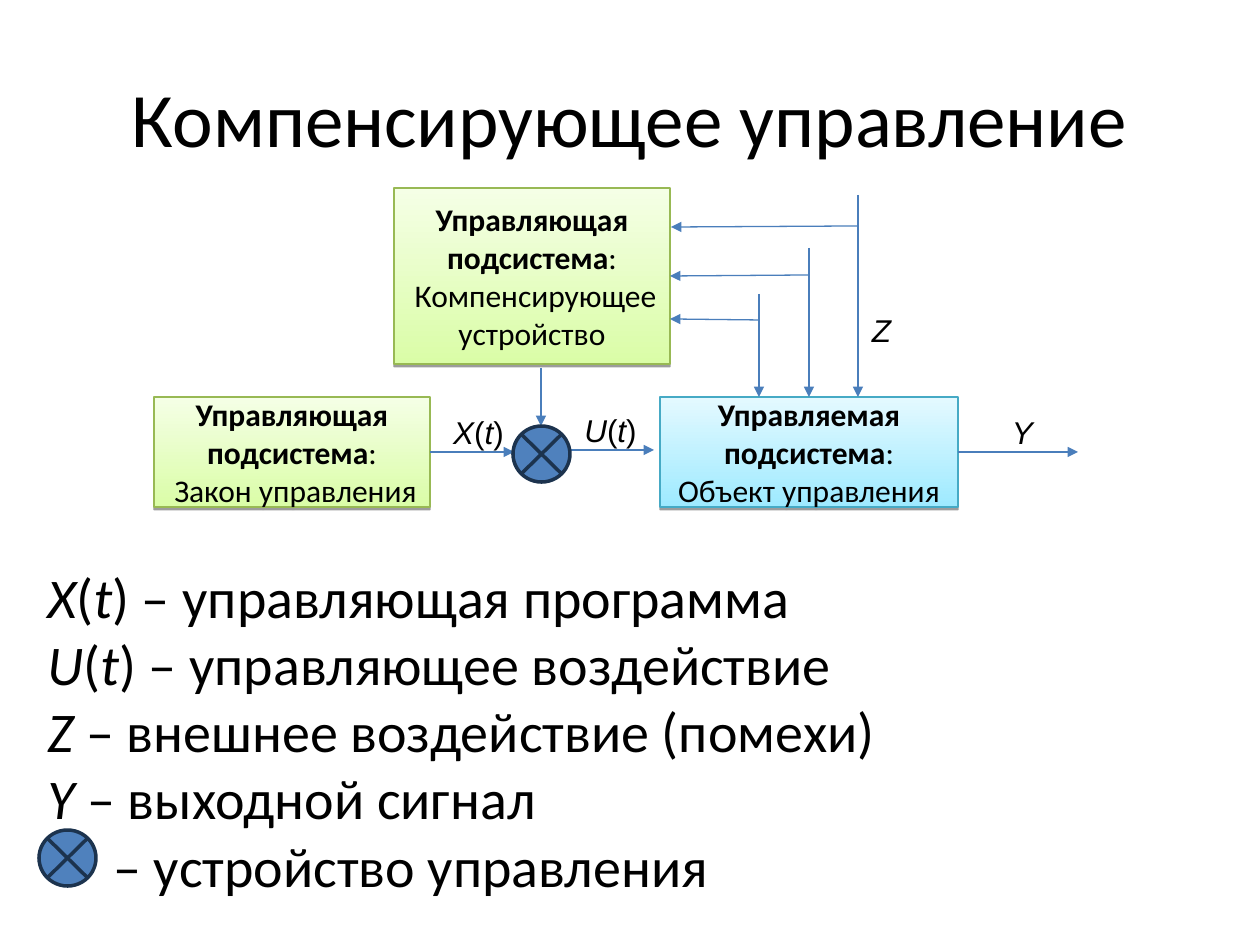
from dataclasses import dataclass

from lxml.etree import SubElement
from pptx import Presentation
from pptx.dml.color import RGBColor
from pptx.enum.shapes import MSO_CONNECTOR, MSO_SHAPE
from pptx.enum.text import MSO_ANCHOR, PP_ALIGN
from pptx.oxml.ns import qn
from pptx.util import Emu, Pt

PX_PER_INCH = 126
COLORS = {
    "text": "000000", "arrow": "4A7EBB",
    "junction": "4F81BD", "junction_line": "1C334E",
    "green_dark": "DAFDA7", "green_light": "F5FFE6", "green_line": "98B954",
    "blue_dark": "9EEAFF", "blue_light": "E4F9FF", "blue_line": "46AAC5",
}
TITLE = {"size": Pt(44), "name": "Calibri"}
LEGEND = {"size": Pt(32), "name": "Calibri"}
BOX = {"size": Pt(18), "name": "Calibri"}
LABEL = {"size": Pt(18), "name": "Arial"}


@dataclass
class Run:
    text: str
    bold: bool = False
    italic: bool = False


@dataclass
class Box:
    key: str
    rect: tuple[int, int, int, int]
    hue: str
    role: str
    detail: str


@dataclass
class Arrow:
    start: tuple[int, int]
    end: tuple[int, int]
    begin_at: tuple[str, int] | None = None
    end_at: tuple[str, int] | None = None


def px(value: float) -> Emu:
    return Emu(round(value * 914400 / PX_PER_INCH))


def rgb(name: str) -> RGBColor:
    return RGBColor.from_string(COLORS[name])


def symbol_runs(symbol: str) -> list[Run]:
    return [Run(ch, italic=ch.isalpha()) for ch in symbol]


def write(tf, paragraphs: list[list[Run]], font: dict, align=PP_ALIGN.CENTER,
          anchor=MSO_ANCHOR.TOP, wrap: bool = True) -> None:
    tf.word_wrap = wrap
    tf.vertical_anchor = anchor
    for i, runs in enumerate(paragraphs):
        p = tf.paragraphs[0] if i == 0 else tf.add_paragraph()
        p.alignment = align
        for run in runs:
            r = p.add_run()
            r.text = run.text
            r.font.color.rgb = rgb("text")
            style = {**font, "bold": run.bold, "italic": run.italic}
            for name, value in style.items():
                setattr(r.font, name, value)


def add_text(s, rect: tuple[int, int, int, int], paragraphs: list[list[Run]], font: dict, **layout):
    sp = s.shapes.add_textbox(*map(px, rect))
    write(sp.text_frame, paragraphs, font, **layout)
    return sp


def add_box(s, box: Box):
    sp = s.shapes.add_shape(MSO_SHAPE.FLOWCHART_PROCESS, *map(px, box.rect))
    sp.fill.gradient()
    sp.fill.gradient_angle = 90
    for stop, tone, position in zip(sp.fill.gradient_stops, ("dark", "light"), (0, 1)):
        stop.color.rgb = rgb(f"{box.hue}_{tone}")
        stop.position = position
    sp.line.color.rgb = rgb(f"{box.hue}_line")
    sp.line.width = Pt(0.75)
    # Crisp shadow straight below the box
    effects = SubElement(sp._element.spPr, qn("a:effectLst"))
    shadow = SubElement(effects, qn("a:outerShdw"), blurRad="0", dist=str(Pt(1.6)),
                        dir="5400000", rotWithShape="0")
    color = SubElement(shadow, qn("a:srgbClr"), val=COLORS["text"])
    SubElement(color, qn("a:alpha"), val="38000")
    write(sp.text_frame, [[Run(box.role, bold=True), Run(":")], [Run(box.detail)]],
          BOX, anchor=MSO_ANCHOR.MIDDLE)
    return sp


def add_junction(s, left: int, top: int) -> None:
    sp = s.shapes.add_shape(MSO_SHAPE.FLOWCHART_SUMMING_JUNCTION,
                            px(left), px(top), px(57), px(56))
    sp.shadow.inherit = False
    sp.fill.solid()
    sp.fill.fore_color.rgb = rgb("junction")
    sp.line.color.rgb = rgb("junction_line")
    sp.line.width = Pt(2)


def add_arrow(s, arrow: Arrow, boxes: dict) -> None:
    cxn = s.shapes.add_connector(MSO_CONNECTOR.STRAIGHT, *map(px, arrow.start + arrow.end))
    if arrow.begin_at:
        key, side = arrow.begin_at
        cxn.begin_connect(boxes[key], side)
    if arrow.end_at:
        key, side = arrow.end_at
        cxn.end_connect(boxes[key], side)
    cxn.line.color.rgb = rgb("arrow")
    cxn.line.width = Pt(0.75)
    SubElement(cxn.line._get_or_add_ln(), qn("a:tailEnd"), type="triangle")
    SubElement(cxn._element.spPr, qn("a:effectLst"))


BOXES = [
    Box("law", (154, 397, 276, 110), "green", "Управляющая подсистема", " Закон управления"),
    Box("object", (660, 397, 298, 110), "blue", "Управляемая подсистема", "Объект управления"),
    Box("compensator", (394, 188, 276, 176), "green",
        "Управляющая подсистема", " Компенсирующее устройство"),
]
ARROWS = [
    # Main signal path
    Arrow((430, 452), (514, 452), begin_at=("law", 3)),
    Arrow((570, 450), (654, 450)),
    Arrow((958, 452), (1078, 452), begin_at=("object", 3)),
    Arrow((541, 368), (541, 426)),
    # Disturbances acting on the object
    Arrow((759, 294), (759, 397)),
    Arrow((809, 248), (809, 397), end_at=("object", 0)),
    Arrow((858, 195), (858, 397)),
    # Disturbances measured by the compensator
    Arrow((858, 226), (671, 227)),
    Arrow((809, 275), (670, 276), end_at=("compensator", 3)),
    Arrow((759, 320), (670, 319)),
]
LABELS = [
    ("X(t)", (440, 407, 77, 50)),
    ("U(t)", (567, 405, 87, 50)),
    ("Y", (984, 407, 77, 50)),
    ("Z", (838, 305, 87, 50)),
]
LEGEND_ROWS = [
    ("X(t)", " – управляющая программа"),
    ("U(t)", " – управляющее воздействие"),
    ("Z", " – внешнее воздействие (помехи)"),
    ("Y", " – выходной сигнал"),
    ("", "– устройство управления"),
]


def main() -> None:
    prs = Presentation()
    prs.slide_width, prs.slide_height = px(1260), px(945)
    s = prs.slides.add_slide(prs.slide_layouts[6])

    # Title
    add_text(s, (63, 38, 1134, 157), [[Run("Компенсирующее управление")]],
             TITLE, anchor=MSO_ANCHOR.MIDDLE)

    # Legend, the last row indented to follow its junction symbol
    rows = [symbol_runs(symbol) + [Run(text)] for symbol, text in LEGEND_ROWS]
    legend = add_text(s, (35, 556, 1191, 349), rows, LEGEND, align=PP_ALIGN.LEFT)
    legend.text_frame.paragraphs[-1]._p.get_or_add_pPr().set("marL", str(px(66)))
    add_junction(s, 39, 830)

    # Control diagram
    boxes = {box.key: add_box(s, box) for box in BOXES}
    for arrow in ARROWS:
        add_arrow(s, arrow, boxes)
    add_junction(s, 513, 426)
    for symbol, rect in LABELS:
        add_text(s, rect, [symbol_runs(symbol)], LABEL, wrap=False)

    prs.save("out.pptx")


if __name__ == "__main__":
    main()
